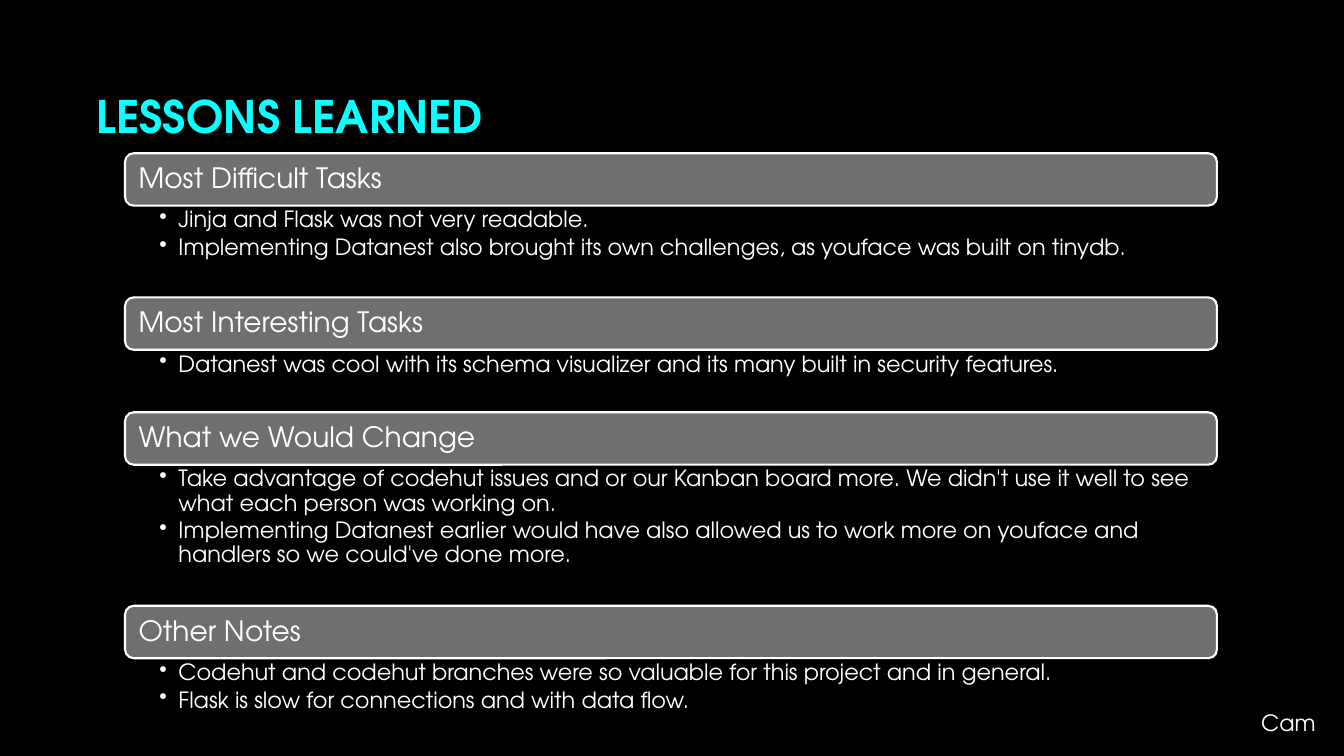
from pptx import Presentation
from pptx.dml.color import RGBColor
from pptx.enum.shapes import MSO_SHAPE
from pptx.enum.text import MSO_ANCHOR, PP_ALIGN
from pptx.oxml.ns import qn
from pptx.util import Inches, Pt
from lxml import etree

ROUNDED = MSO_SHAPE.ROUNDED_RECTANGLE
MIDDLE, TOP = MSO_ANCHOR.MIDDLE, MSO_ANCHOR.TOP
LEFT = PP_ALIGN.LEFT

FONT = "TeX Gyre Adventor"
BLACK, WHITE, GREY, CYAN = "000000", "FFFFFF", "6F6F6F", "0AFFFF"

TITLE = "LESSONS LEARNED"
SPEAKER = "Cam"
# heading, height of the bullet area, bullets
SECTIONS = [
    ("Most Difficult Tasks", 0.91, [
        "Jinja and Flask was not very readable.",
        "Implementing Datanest also brought its own challenges, as youface was built on tinydb.",
    ]),
    ("Most Interesting Tasks", 0.62, [
        "Datanest was cool with its schema visualizer and its many built in security features.",
    ]),
    ("What we Would Change", 1.4, [
        "Take advantage of codehut issues and or our Kanban board more. "
        "We didn't use it well to see what each person was working on.",
        "Implementing Datanest earlier would have also allowed us to work more on youface and "
        "handlers so we could've done more.",
    ]),
    ("Other Notes", 0.61, [
        "Codehut and codehut branches were so valuable for this project and in general.",
        "Flask is slow for connections and with data flow.",
    ]),
]

PANEL_LEFT, PANEL_TOP, PANEL_WIDTH = 1.24, 1.52, 10.83
HEADING_HEIGHT = 0.52
BULLET_INDENT = 0.19


def rgb(color):
    return RGBColor.from_string(color)


def write(sp, lines, size, color=WHITE, bold=False, anchor=TOP,
          insets=(0.1, 0.05, 0.1, 0.05), spacing=None, after=0):
    """Fill a shape with one paragraph per line; insets are left, top, right, bottom."""
    tf = sp.text_frame
    tf.word_wrap = True
    tf.vertical_anchor = anchor
    tf.margin_left, tf.margin_top, tf.margin_right, tf.margin_bottom = map(Inches, insets)
    tf.text = "\n".join(lines)
    for p in tf.paragraphs:
        p.alignment = LEFT
        p.line_spacing = spacing
        p.space_after = Pt(after)
        for r in p.runs:
            r.font.name = FONT
            r.font.size = Pt(size)
            r.font.bold = bold
            r.font.color.rgb = rgb(color)


def add_bullets(sp):
    for p in sp.text_frame.paragraphs:
        pPr = p._p.get_or_add_pPr()
        pPr.set("marL", str(Inches(BULLET_INDENT)))
        pPr.set("indent", str(-Inches(BULLET_INDENT)))
        etree.SubElement(pPr, qn("a:buChar")).set("char", "•")


def text_box(slide, left, top, width, height):
    return slide.shapes.add_textbox(*map(Inches, (left, top, width, height)))


def add_heading(slide, top, heading):
    sp = slide.shapes.add_shape(
        ROUNDED, *map(Inches, (PANEL_LEFT, top, PANEL_WIDTH, HEADING_HEIGHT)))
    sp.shadow.inherit = False
    sp.fill.solid()
    sp.fill.fore_color.rgb = rgb(GREY)
    sp.line.color.rgb = rgb(WHITE)
    sp.line.width = Pt(1.5)
    write(sp, [heading], 20, anchor=MIDDLE, insets=(0.11, 0.08, 0.11, 0.08), spacing=0.9)


def main():
    prs = Presentation()
    prs.slide_width, prs.slide_height = Inches(13.33), Inches(7.5)
    slide = prs.slides.add_slide(prs.slide_layouts[6])
    slide.background.fill.solid()
    slide.background.fill.fore_color.rgb = rgb(BLACK)

    write(text_box(slide, 0.86, 0.11, 10.83, 2.08), [TITLE], 32, CYAN, bold=True, anchor=MIDDLE)
    write(text_box(slide, 12.41, 6.99, 0.92, 0.37), [SPEAKER], 16)

    top = PANEL_TOP
    for heading, body_height, bullets in SECTIONS:
        add_heading(slide, top, heading)
        top += HEADING_HEIGHT
        body = text_box(slide, PANEL_LEFT, top, PANEL_WIDTH, body_height)
        write(body, bullets, 16, insets=(0.34, 0.03, 0.16, 0.03), spacing=0.9, after=2.5)
        add_bullets(body)
        top += body_height

    prs.save("out.pptx")


if __name__ == "__main__":
    main()
